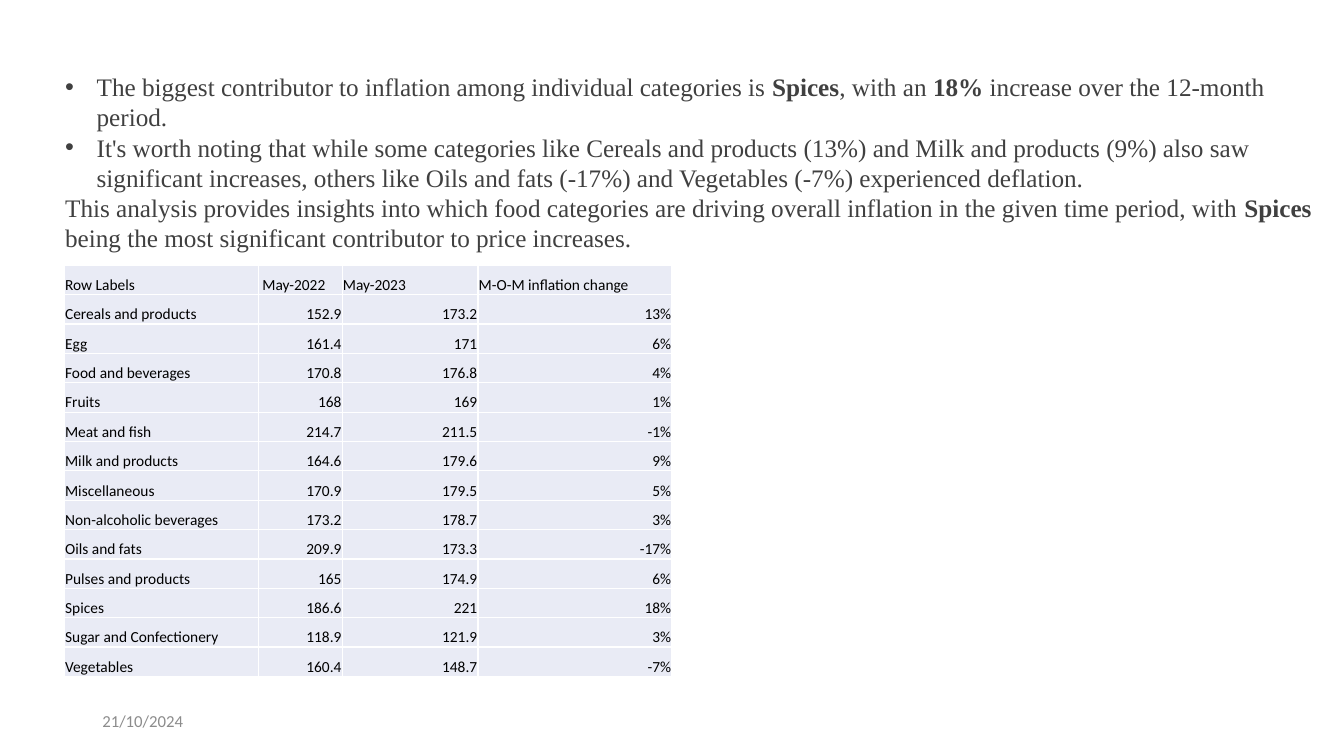
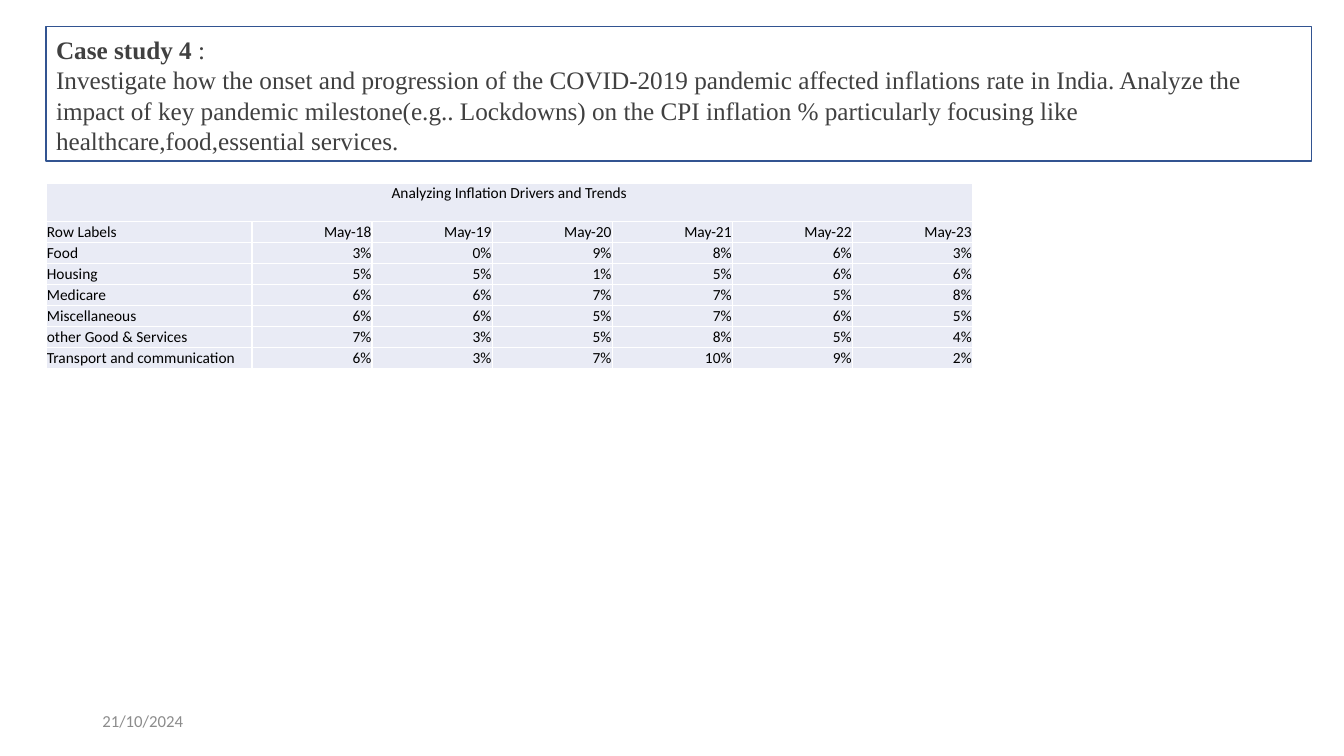
import pptx
import pptx.util
import pptx.dml.color
import pptx.enum.shapes
import pptx.enum.text
import pptx.oxml

Pt = pptx.util.Pt
RGBColor = pptx.dml.color.RGBColor
ALIGN = pptx.enum.text.PP_ALIGN
ANCHOR = pptx.enum.text.MSO_ANCHOR

TEXT_GREY = RGBColor(0x40, 0x40, 0x40)
DATE_GREY = RGBColor(0x8C, 0x8C, 0x8C)
BLACK = RGBColor(0, 0, 0)
CELL_FILL = RGBColor(0xE9, 0xEB, 0xF5)
CELL_BORDER = RGBColor(0xFF, 0xFF, 0xFF)
FRAME_BLUE = RGBColor(0x32, 0x54, 0x91)
BODY_FONT, TABLE_FONT = "Times New Roman", "Calibri"
BULLET_INDENT = Pt(22.5)
BLANK_LAYOUT = 6

DATE = "21/10/2024"

# Paragraphs are (bulleted, [(text, bold), ...])
FINDINGS = [
    (True, [
        ("The biggest contributor to inflation among individual categories is ", False),
        ("Spices", True),
        (", with an ", False),
        ("18%", True),
        (" increase over the 12-month period.", False),
    ]),
    (True, [
        ("It's worth noting that while some categories like Cereals and products (13%) "
         "and Milk and products (9%) also saw significant increases, others like Oils "
         "and fats (-17%) and Vegetables (-7%) experienced deflation.", False),
    ]),
    (False, [
        ("This analysis provides insights into which food categories are driving overall "
         "inflation in the given time period, with ", False),
        ("Spices", True),
        (" being the most significant contributor to price increases.", False),
    ]),
]
CASE_STUDY = [
    (False, [("Case study 4 ", True), (":", False)]),
    (False, [
        ("Investigate how the onset and progression of the COVID-2019 pandemic affected "
         "inflations rate in India. Analyze the impact of key pandemic milestone(e.g.. "
         "Lockdowns) on the CPI inflation % particularly focusing like "
         "healthcare,food,essential services.", False),
    ]),
]

CATEGORY_ROWS = [
    ("Row Labels", " May-2022", "May-2023", "M-O-M inflation change"),
    ("Cereals and products", "152.9", "173.2", "13%"),
    ("Egg", "161.4", "171", "6%"),
    ("Food and beverages", "170.8", "176.8", "4%"),
    ("Fruits", "168", "169", "1%"),
    ("Meat and fish", "214.7", "211.5", "-1%"),
    ("Milk and products", "164.6", "179.6", "9%"),
    ("Miscellaneous", "170.9", "179.5", "5%"),
    ("Non-alcoholic beverages", "173.2", "178.7", "3%"),
    ("Oils and fats", "209.9", "173.3", "-17%"),
    ("Pulses and products", "165", "174.9", "6%"),
    ("Spices", "186.6", "221", "18%"),
    ("Sugar and Confectionery", "118.9", "121.9", "3%"),
    ("Vegetables", "160.4", "148.7", "-7%"),
]
DRIVERS_TITLE = "Analyzing Inflation Drivers and Trends"
DRIVER_ROWS = [
    ("Row Labels", "May-18", "May-19", "May-20", "May-21", "May-22", "May-23"),
    ("Food", "3%", "0%", "9%", "8%", "6%", "3%"),
    ("Housing", "5%", "5%", "1%", "5%", "6%", "6%"),
    ("Medicare", "6%", "6%", "7%", "7%", "5%", "8%"),
    ("Miscellaneous", "6%", "6%", "5%", "7%", "6%", "5%"),
    ("other Good & Services", "7%", "3%", "5%", "8%", "5%", "4%"),
    ("Transport and communication", "6%", "3%", "7%", "10%", "9%", "2%"),
]


def add_run(paragraph, text, font, size, color, bold=False):
    run = paragraph.add_run()
    run.text = text
    run.font.name = font
    run.font.size = Pt(size)
    run.font.bold = bold
    run.font.color.rgb = color


def add_text_box(slide, left, top, width, height):
    shape = slide.shapes.add_textbox(Pt(left), Pt(top), Pt(width), Pt(height))
    shape.text_frame.word_wrap = True
    return shape.text_frame


def add_bullet(paragraph):
    properties = paragraph._p.get_or_add_pPr()
    properties.set("marL", str(BULLET_INDENT))
    properties.set("indent", str(-BULLET_INDENT))
    namespace = pptx.oxml.ns.nsdecls("a")
    for xml in (f'<a:buFont {namespace} typeface="Arial"/>',
                f'<a:buChar {namespace} char="•"/>'):
        properties.append(pptx.oxml.parse_xml(xml))


def add_body(slide, paragraphs, left, top, width, height):
    frame = add_text_box(slide, left, top, width, height)
    for index, (bulleted, runs) in enumerate(paragraphs):
        paragraph = frame.add_paragraph() if index else frame.paragraphs[0]
        if bulleted:
            add_bullet(paragraph)
        for text, bold in runs:
            add_run(paragraph, text, BODY_FONT, 18, TEXT_GREY, bold)


def add_dated_slide(presentation):
    slide = presentation.slides.add_slide(presentation.slide_layouts[BLANK_LAYOUT])
    frame = add_text_box(slide, 66, 500.5, 216, 28.8)
    frame.vertical_anchor = ANCHOR.MIDDLE
    add_run(frame.paragraphs[0], DATE, TABLE_FONT, 12, DATE_GREY)
    return slide


def style_cell(cell):
    cell.fill.solid()
    cell.fill.fore_color.rgb = CELL_FILL
    cell.margin_left = cell.margin_right = cell.margin_top = Pt(0.5)
    cell.margin_bottom = 0
    cell.vertical_anchor = ANCHOR.BOTTOM
    for position, side in enumerate("LRTB"):
        border = pptx.oxml.parse_xml(
            f'<a:ln{side} {pptx.oxml.ns.nsdecls("a")} w="{Pt(1)}"><a:solidFill>'
            f'<a:srgbClr val="{CELL_BORDER}"/></a:solidFill></a:ln{side}>')
        cell._tc.get_or_add_tcPr().insert(position, border)


def write_cell(cell, text, alignment):
    paragraph = cell.text_frame.paragraphs[0]
    paragraph.alignment = alignment
    add_run(paragraph, text, TABLE_FONT, 11, BLACK)


def add_data_table(slide, rows, left, top, column_widths, row_height,
                   header_alignment, title=None, title_height=0):
    """Add a table of labels and figures, with an optional merged title row."""
    first = 1 if title else 0
    heights = [title_height] * first + [row_height] * len(rows)
    table = slide.shapes.add_table(
        len(heights), len(column_widths), Pt(left), Pt(top),
        Pt(sum(column_widths)), Pt(sum(heights))).table
    table.first_row = table.horz_banding = False
    for column, width in zip(table.columns, column_widths):
        column.width = Pt(width)
    for row, height in zip(table.rows, heights):
        row.height = Pt(height)
    for cell in table.iter_cells():
        style_cell(cell)
    if title:
        title_cell = table.cell(0, 0)
        title_cell.merge(table.cell(0, len(column_widths) - 1))
        title_cell.vertical_anchor = ANCHOR.TOP
        write_cell(title_cell, title, ALIGN.CENTER)
    for row_index, values in enumerate(rows):
        figure_alignment = ALIGN.RIGHT if row_index else header_alignment
        for column_index, text in enumerate(values):
            write_cell(table.cell(first + row_index, column_index), text,
                       figure_alignment if column_index else ALIGN.LEFT)


def add_frame(slide, left, top, width, height):
    shape = slide.shapes.add_shape(
        pptx.enum.shapes.MSO_SHAPE.RECTANGLE, Pt(left), Pt(top), Pt(width), Pt(height))
    shape.shadow.inherit = False
    shape.fill.background()
    shape.line.color.rgb = FRAME_BLUE
    shape.line.width = Pt(1)


def main():
    presentation = pptx.Presentation()
    presentation.slide_width, presentation.slide_height = Pt(960), Pt(540)

    slide = add_dated_slide(presentation)
    add_body(slide, FINDINGS, 39.5, 47.5, 905, 138)
    add_data_table(slide, CATEGORY_ROWS, 46, 189.5, [138.5, 60, 97, 138.5], 21,
                   ALIGN.LEFT)

    slide = add_dated_slide(presentation)
    add_body(slide, CASE_STUDY, 33, 21, 911, 94.5)
    add_frame(slide, 33, 19, 904, 96)
    add_data_table(slide, DRIVER_ROWS, 33, 131, [147] + [85.8] * 6, 15,
                   ALIGN.RIGHT, DRIVERS_TITLE, 27)

    presentation.save("out.pptx")


if __name__ == "__main__":
    main()
